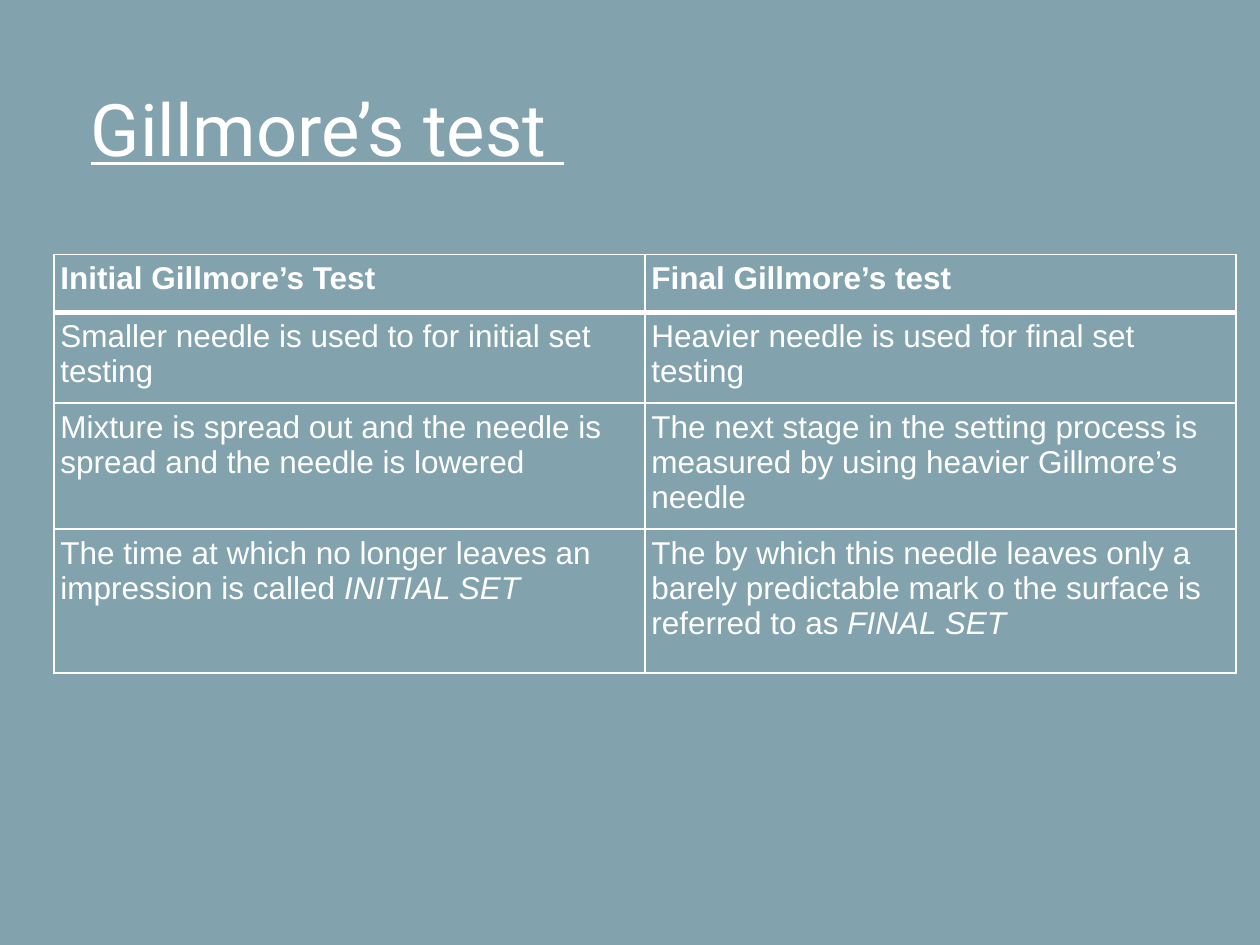
"""Build the slide that compares the initial and final Gillmore's tests."""
from dataclasses import dataclass

from lxml.etree import SubElement
from pptx import Presentation
from pptx.dml.color import RGBColor
from pptx.enum.text import MSO_ANCHOR as Anchor
from pptx.oxml.ns import qn
from pptx.util import Inches, Pt


@dataclass(frozen=True)
class Theme:
    background: str = "82A3AE"
    ink: str = "FFFFFF"
    title_font: str = "Roboto"
    body_font: str = "Arial"
    title_size: float = 41.4
    body_size: float = 18
    inset: float = 0.05
    thin: float = 1
    thick: float = 3


@dataclass(frozen=True)
class Entry:
    text: str
    term: str = ""


@dataclass(frozen=True)
class Row:
    height: float
    initial: Entry
    final: Entry


THEME = Theme()
COLUMN_WIDTH = 4.69
ROWS = [
    Row(0.46, Entry("Initial Gillmore’s Test"), Entry("Final Gillmore’s test")),
    Row(
        0.72,
        Entry("Smaller needle is used to for initial set testing"),
        Entry("Heavier needle is used for final set testing"),
    ),
    Row(
        0.99,
        Entry("Mixture is spread out and the needle is spread and the needle is lowered"),
        Entry("The next stage in the setting process is measured by using heavier Gillmore’s needle"),
    ),
    Row(
        1.14,
        Entry("The time at which no longer leaves an impression is called ", "INITIAL SET"),
        Entry(
            "The by which this needle leaves only a barely predictable mark o the surface is referred to as ",
            "FINAL SET",
        ),
    ),
]


def style_font(font, name: str, size: float) -> None:
    font.name = name
    font.size = Pt(size)
    font.color.rgb = RGBColor.from_string(THEME.ink)


def set_insets(target) -> None:
    for side in ("left", "top", "right", "bottom"):
        setattr(target, f"margin_{side}", Inches(THEME.inset))


def add_title(page, text: str) -> None:
    box = page.shapes.add_textbox(Inches(0.67), Inches(0.56), Inches(9), Inches(0.9))
    frame = box.text_frame
    frame.word_wrap = True
    frame.vertical_anchor = Anchor.MIDDLE
    set_insets(frame)
    frame.text = text
    span = frame.paragraphs[0].runs[0]
    style_font(span.font, THEME.title_font, THEME.title_size)
    span.font.underline = True


def set_borders(cell, top: float, bottom: float) -> None:
    properties = cell._tc.get_or_add_tcPr()
    widths = {"L": THEME.thin, "R": THEME.thin, "T": top, "B": bottom}
    for side, width in widths.items():
        line = SubElement(properties, qn(f"a:ln{side}"), w=str(Pt(width)))
        fill = SubElement(line, qn("a:solidFill"))
        SubElement(fill, qn("a:srgbClr"), val=THEME.ink)


def fill_cell(cell, entry: Entry, row_index: int) -> None:
    set_insets(cell)
    top = THEME.thick if row_index == 1 else THEME.thin
    bottom = THEME.thick if row_index == 0 else THEME.thin
    set_borders(cell, top, bottom)
    cell.fill.background()
    para = cell.text_frame.paragraphs[0]
    para.text = entry.text
    if entry.term:
        para.add_run().text = entry.term
    for span in para.runs:
        style_font(span.font, THEME.body_font, THEME.body_size)
        span.font.bold = row_index == 0
        span.font.italic = span.text == entry.term


def add_comparison(page, rows: list[Row]) -> None:
    height = sum(row.height for row in rows)
    table = page.shapes.add_table(
        len(rows), 2, Inches(0.43), Inches(2.02), Inches(2 * COLUMN_WIDTH), Inches(height)
    ).table
    table.horz_banding = False
    for column in table.columns:
        column.width = Inches(COLUMN_WIDTH)
    for row_index, row in enumerate(rows):
        table.rows[row_index].height = Inches(row.height)
        for column_index, entry in enumerate((row.initial, row.final)):
            fill_cell(table.cell(row_index, column_index), entry, row_index)


def main() -> None:
    deck = Presentation()
    deck.slide_width, deck.slide_height = Inches(10), Inches(7.5)
    page = deck.slides.add_slide(deck.slide_layouts[6])
    page.background.fill.solid()
    page.background.fill.fore_color.rgb = RGBColor.from_string(THEME.background)
    add_title(page, "Gillmore’s test ")
    add_comparison(page, ROWS)
    deck.save("out.pptx")


if __name__ == "__main__":
    main()
